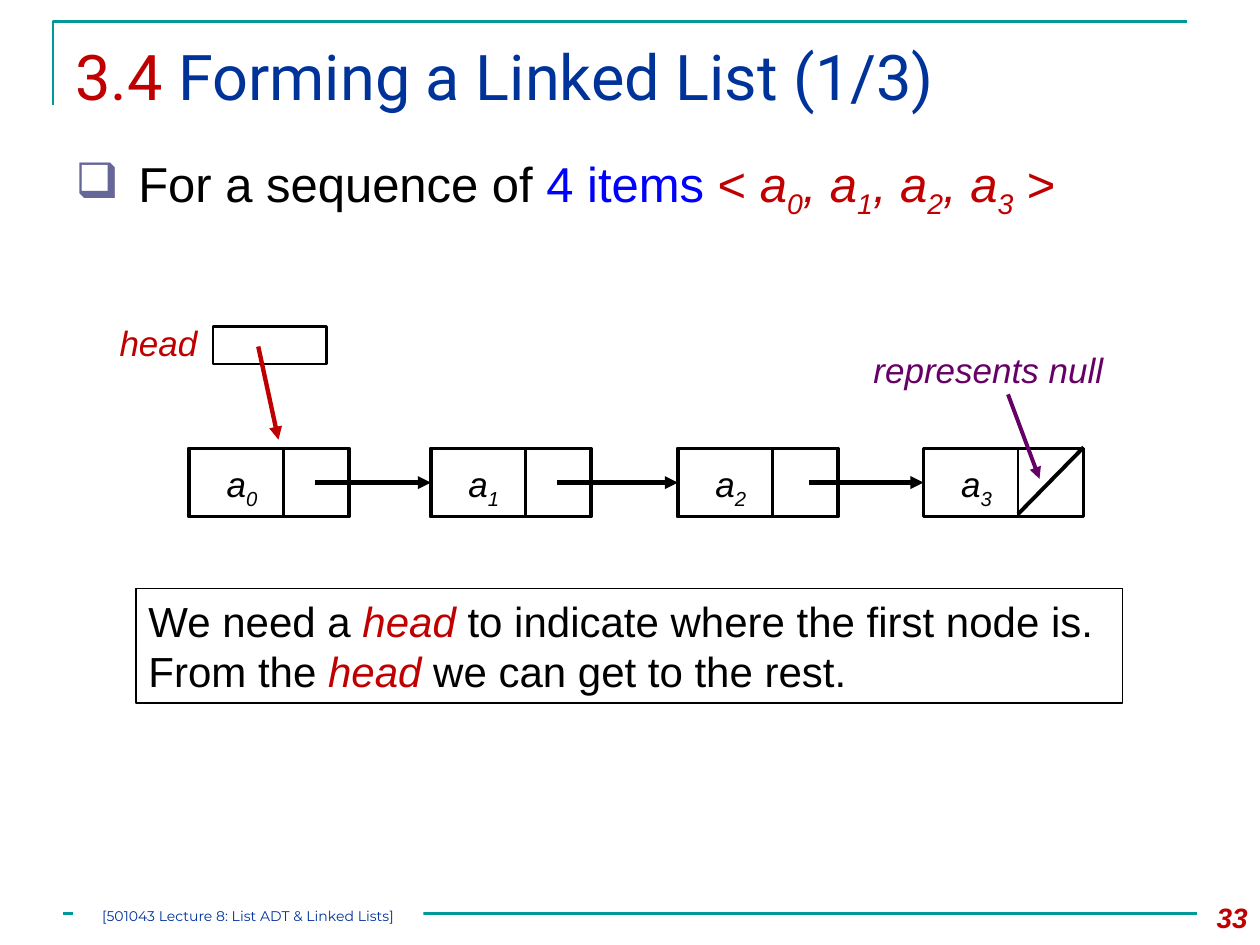
from lxml import etree
from pptx import Presentation
from pptx.dml.color import RGBColor
from pptx.enum.shapes import MSO_CONNECTOR, MSO_SHAPE
from pptx.enum.text import MSO_ANCHOR, PP_ALIGN
from pptx.oxml.ns import qn
from pptx.util import Inches, Pt

STRAIGHT = MSO_CONNECTOR.STRAIGHT
RECTANGLE = MSO_SHAPE.RECTANGLE
TOP, MIDDLE = MSO_ANCHOR.TOP, MSO_ANCHOR.MIDDLE
LEFT, CENTER, RIGHT = PP_ALIGN.LEFT, PP_ALIGN.CENTER, PP_ALIGN.RIGHT
LEFT_SIDE = 1

COLORS = {
    "black": "000000", "white": "FFFFFF", "teal": "009999", "red": "C00000",
    "navy": "003399", "blue": "0000FF", "purple": "660066", "bullet": "666699",
}

NODE_TOP, NODE_WIDTH, NODE_HEIGHT = 3.56, 1.27, 0.54
DIVIDER_OFFSET = 0.75
NODE_LEFTS = [1.5, 3.42, 5.38, 7.33]
LINK_STARTS = [2.5, 4.42, 6.42]


def rgb(color):
    return RGBColor.from_string(COLORS[color])


def write(shape, runs, size, font="Arial", align=LEFT, anchor=TOP, wrap=True, bold=False):
    """Fill one paragraph; each run is (text, color, italic, subscript), the last two optional."""
    frame = shape.text_frame
    frame.word_wrap = wrap
    frame.vertical_anchor = anchor
    paragraph = frame.paragraphs[0]
    paragraph.alignment = align
    for text, color, *style in runs:
        italic, subscript = (style + [False, False])[:2]
        run = paragraph.add_run()
        run.text = text
        run.font.name = font
        run.font.size = Pt(size)
        run.font.bold = bold
        run.font.italic = italic
        run.font.color.rgb = rgb(color)
        if subscript:
            run.font._element.set("baseline", "-25000")
    return paragraph


def add_text(slide, box, runs, size, **options):
    textbox = slide.shapes.add_textbox(*map(Inches, box))
    return write(textbox, runs, size, **options)


def add_box(slide, box, line_width=None, fill=None):
    rectangle = slide.shapes.add_shape(RECTANGLE, *map(Inches, box))
    rectangle.shadow.inherit = False
    if fill:
        rectangle.fill.solid()
        rectangle.fill.fore_color.rgb = rgb(fill)
    else:
        rectangle.fill.background()
    if line_width:
        rectangle.line.color.rgb = rgb("black")
        rectangle.line.width = Pt(line_width)
    else:
        rectangle.line.fill.background()
    return rectangle


def add_line(slide, start, end, color, width, arrow=False):
    connector = slide.shapes.add_connector(STRAIGHT, *map(Inches, (*start, *end)))
    connector.line.color.rgb = rgb(color)
    connector.line.width = Pt(width)
    if arrow:
        etree.SubElement(connector.line._get_or_add_ln(), qn("a:tailEnd"), type="triangle")
    etree.SubElement(connector._element.spPr, qn("a:effectLst"))
    return connector


def add_corner_rule(slide):
    builder = slide.shapes.build_freeform(Inches(0.42), Inches(0.83))
    builder.add_line_segments(
        [(Inches(0.42), Inches(0.17)), (Inches(9.42), Inches(0.17))], close=False)
    corner = builder.convert_to_shape()
    corner.shadow.inherit = False
    corner.fill.background()
    corner.line.color.rgb = rgb("teal")
    corner.line.width = Pt(1.5)


def add_bullet(paragraph, symbol, color, indent):
    properties = paragraph._p.get_or_add_pPr()
    properties.set("marL", str(Inches(indent)))
    properties.set("indent", str(-Inches(indent)))
    bullet_color = etree.SubElement(properties, qn("a:buClr"))
    etree.SubElement(bullet_color, qn("a:srgbClr"), val=COLORS[color])
    etree.SubElement(properties, qn("a:buChar"), char=symbol)


def add_sequence(slide):
    runs = [("For a sequence of ", "black"), ("4 items ", "blue"), ("<", "red")]
    for index in range(4):
        runs.append((", a" if index else " a", "red", True))
        runs.append((str(index), "red", True, True))
    runs.append((" >", "red"))
    paragraph = add_text(slide, (0.5, 1.17, 9, 0.83), runs, 28)
    paragraph.space_before = Pt(4)
    add_bullet(paragraph, "❑", "bullet", 0.5)


def add_node(slide, index, left):
    node = add_box(slide, (left, NODE_TOP, NODE_WIDTH, NODE_HEIGHT), 2.25)
    divider = left + DIVIDER_OFFSET
    add_line(slide, (divider, 3.55), (divider, 4.1), "black", 1.5)
    add_text(slide, (left + 0.2, 3.62, 0.46, 0.44),
             [("a", "black", True), (str(index), "black", True, True)], 20, wrap=False)
    return node


def add_linked_list(slide):
    add_box(slide, (1.69, 2.59, 0.9, 0.3), 1.5)
    add_text(slide, (0.85, 2.5, 0.82, 0.43), [("head", "red", True)], 20, wrap=False)
    add_line(slide, (2.05, 2.75), (2.21, 3.49), "red", 2.5, arrow=True)

    nodes = [add_node(slide, index, left) for index, left in enumerate(NODE_LEFTS)]
    link_y = NODE_TOP + NODE_HEIGHT / 2
    for start, left, target in zip(LINK_STARTS, NODE_LEFTS[1:], nodes[1:]):
        link = add_line(slide, (start, link_y), (left, link_y), "black", 2.5, arrow=True)
        link.end_connect(target, LEFT_SIDE)

    last = NODE_LEFTS[-1]
    add_line(slide, (last + NODE_WIDTH, 3.55), (last + DIVIDER_OFFSET, 4.08), "black", 2.25)
    add_text(slide, (6.67, 2.72, 2.35, 0.44), [("represents null", "purple", True)], 20,
             align=CENTER)
    add_line(slide, (8, 3.13), (8.25, 3.8), "purple", 2.25, arrow=True)


def add_explanation(slide):
    explanation = add_box(slide, (1.08, 4.67, 7.83, 0.91), 0.75)
    write(explanation, [
        ("We need a ", "black"), ("head", "red", True),
        (" to indicate where the first node is.  From the ", "black"),
        ("head", "red", True), (" we can get to the rest.", "black"),
    ], 24, anchor=MIDDLE)


def add_footer(slide):
    add_line(slide, (0.5, 7.25), (9.5, 7.25), "teal", 1.5)
    lecture = add_box(slide, (0.58, 7.17, 2.78, 0.2), fill="white")
    frame = lecture.text_frame
    frame.margin_left = frame.margin_right = frame.margin_top = frame.margin_bottom = 0
    write(lecture, [("[501043 Lecture 8: List ADT & Linked Lists]", "navy")], 8,
          font="Montserrat", align=CENTER, anchor=MIDDLE)
    add_text(slide, (9.33, 7.1, 0.67, 0.4), [("33", "red", True)], 16, align=RIGHT, bold=True)


def main():
    presentation = Presentation()
    presentation.slide_width, presentation.slide_height = Inches(10), Inches(7.5)
    slide = presentation.slides.add_slide(presentation.slide_layouts[6])
    add_corner_rule(slide)
    add_text(slide, (0.5, 0.25, 9, 0.86),
             [("3.4 ", "red"), ("Forming a Linked List (1/3)", "navy")], 36, font="Roboto")
    add_sequence(slide)
    add_linked_list(slide)
    add_explanation(slide)
    add_footer(slide)
    presentation.save("out.pptx")


if __name__ == "__main__":
    main()
